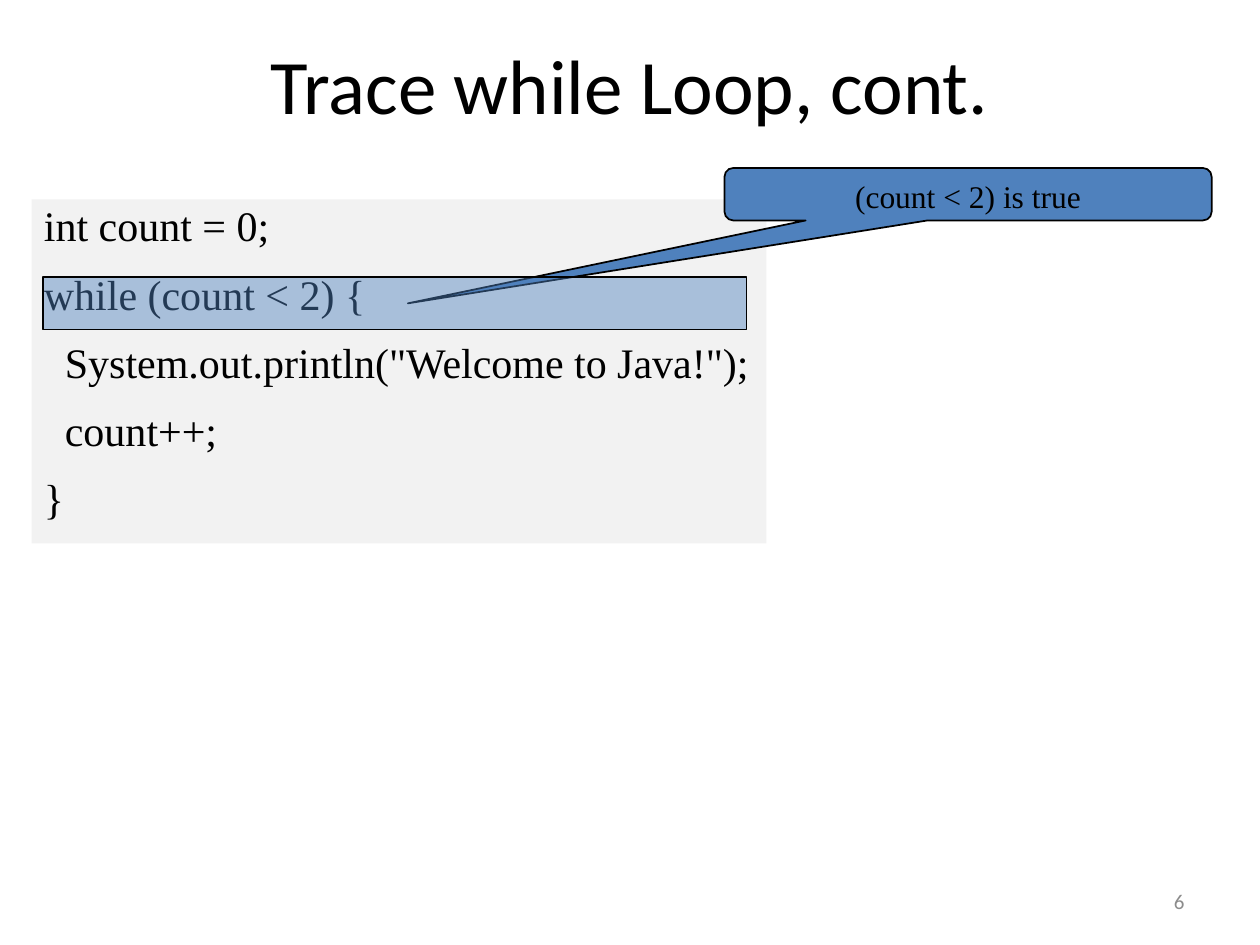
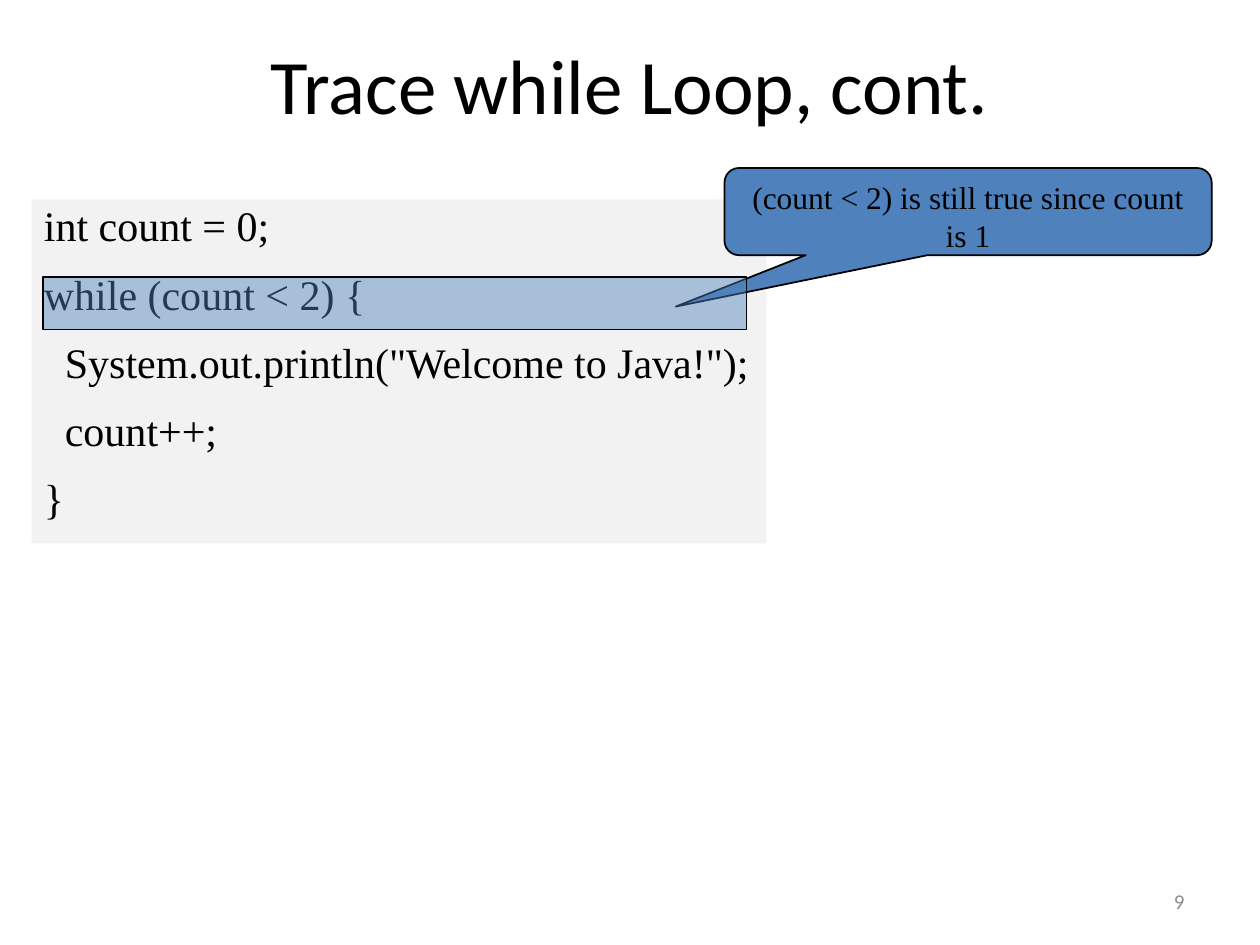
import pptx
import pptx.util
import pptx.dml.color
import pptx.enum.shapes
import pptx.enum.text
import pptx.oxml.ns
from lxml import etree

SHAPE = pptx.enum.shapes.MSO_SHAPE
ALIGN = pptx.enum.text.PP_ALIGN
ANCHOR = pptx.enum.text.MSO_ANCHOR
COLS, ROWS = 120, 90
CODE = [
    "int count = 0;",
    "while (count < 2) {",
    '  System.out.println("Welcome to Java!");',
    "  count++;",
    "}",
]
STEPS = [
    ("6", "(count < 2) is true", 5, (-1.15, 2.08)),
    ("9", "(count < 2) is still true since count is 1", 8.3, (-0.6, 1.09)),
]


def rgb(value):
    """Turn a hex string into a colour."""
    return pptx.dml.color.RGBColor.from_string(value)


class Deck:
    """Hold the style and the current slide, and draw each kind of element."""

    BODY, HEAD = "Times New Roman", "Calibri"
    INK, MUTED, PANEL, ACCENT = "000000", "8C8C8C", "F2F2F2", "4F81BD"

    def __init__(self):
        """Open an empty presentation of the right size."""
        self.prs = pptx.Presentation()
        self.prs.slide_width = pptx.util.Inches(10)
        self.prs.slide_height = pptx.util.Inches(7.5)
        self.slide = None

    def box(self, col, row, cols, rows):
        """Convert grid cells to slide lengths."""
        w, h = self.prs.slide_width / COLS, self.prs.slide_height / ROWS
        return [round(v) for v in (col * w, row * h, cols * w, rows * h)]

    def set_text(self, sp, lines, size, font, color, align, anchor=ANCHOR.TOP):
        """Fill a shape with paragraphs of one style."""
        tf = sp.text_frame
        tf.word_wrap = True
        tf.vertical_anchor = anchor
        tf.text = "\n".join(lines)
        for p in tf.paragraphs:
            p.alignment = align
            p.font.size = pptx.util.Pt(size)
            p.font.name = font
            p.font.color.rgb = rgb(color)
        return tf

    def shape(self, kind, cells, fill, line=None):
        """Add a flat preset shape."""
        sp = self.slide.shapes.add_shape(kind, *self.box(*cells))
        sp.shadow.inherit = False
        sp.fill.solid()
        sp.fill.fore_color.rgb = rgb(fill)
        if line:
            sp.line.color.rgb = rgb(line)
            sp.line.width = pptx.util.Pt(1)
        else:
            sp.line.fill.background()
        return sp

    def new_slide(self):
        """Start a title-only slide."""
        self.slide = self.prs.slides.add_slide(self.prs.slide_layouts[5])

    def title(self, text):
        """Place and format the title placeholder."""
        sp = self.slide.shapes.title
        sp.left, sp.top, sp.width, sp.height = self.box(9, 3, 102, 10)
        self.set_text(sp, [text], 44, self.HEAD, self.INK, ALIGN.CENTER, ANCHOR.MIDDLE)

    def page_number(self, number):
        """Add the page number at the lower right."""
        sp = self.slide.shapes.add_textbox(*self.box(86, 83.4, 28, 4.8))
        self.set_text(sp, [number], 12, self.HEAD, self.MUTED, ALIGN.RIGHT, ANCHOR.MIDDLE)

    def code(self, lines):
        """Add the code listing on its panel."""
        sp = self.shape(SHAPE.RECTANGLE, (3, 19, 70, 32.75), self.PANEL)
        tf = self.set_text(sp, lines, 24, self.BODY, self.INK, ALIGN.LEFT)
        for i, p in enumerate(tf.paragraphs):
            p.line_spacing = 0.9
            p.space_before = pptx.util.Pt(13 if i else 0)

    def callout(self, text, rows, tip):
        """Add a callout whose tip is given as shares of its size."""
        sp = self.shape(SHAPE.ROUNDED_RECTANGULAR_CALLOUT, (69, 16, 46.4, rows),
                        self.ACCENT, self.INK)
        sp.adjustments[0], sp.adjustments[1] = tip
        self.set_text(sp, [text], 18, self.BODY, self.INK, ALIGN.CENTER)

    def highlight(self):
        """Add the translucent bar over the current code line."""
        sp = self.shape(SHAPE.RECTANGLE, (4.1, 26.4, 67, 5), self.ACCENT, self.INK)
        qn = pptx.oxml.ns.qn
        color = sp.element.spPr.find(qn("a:solidFill")).find(qn("a:srgbClr"))
        etree.SubElement(color, qn("a:alpha"), val="45000")


def main():
    """Build the trace slides."""
    deck = Deck()
    for number, remark, rows, tip in STEPS:
        deck.new_slide()
        deck.code(CODE)
        deck.title("Trace while Loop, cont.")
        deck.page_number(number)
        deck.callout(remark, rows, tip)
        deck.highlight()
    deck.prs.save("out.pptx")


if __name__ == "__main__":
    main()
